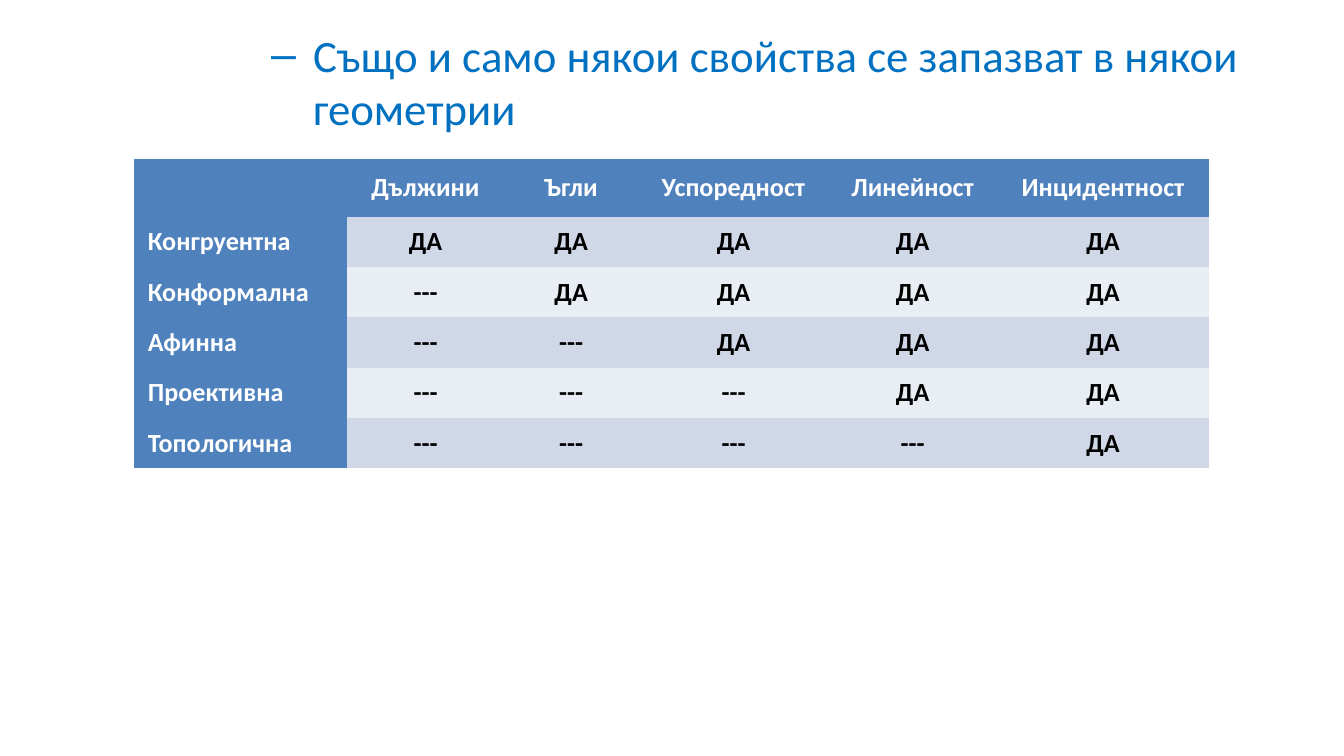
from dataclasses import dataclass

from lxml import etree
from pptx import Presentation
from pptx.dml.color import RGBColor
from pptx.enum.text import MSO_ANCHOR, MSO_AUTO_SIZE, PP_ALIGN
from pptx.oxml.ns import qn
from pptx.util import Pt

MIDDLE = MSO_ANCHOR.MIDDLE
NO_AUTOFIT = MSO_AUTO_SIZE.NONE
LEFT, CENTER = PP_ALIGN.LEFT, PP_ALIGN.CENTER
TITLE_AND_CONTENT = 1
NO_STYLE_NO_GRID = "{2D5ABB26-0587-4C30-8999-92F81FD0307C}"


@dataclass(frozen=True)
class Theme:
    font: str = "Calibri"
    statement_size: int = 24
    table_size: int = 14
    statement: str = "0070C0"
    header: str = "4F81BD"
    header_text: str = "FFFFFF"
    answer_text: str = "000000"
    bands: tuple = ("D0D8E8", "E9EDF4")


THEME = Theme()


def set_font(paragraph, size, color, bold=False):
    font = paragraph.font
    font.name = THEME.font
    font.size = Pt(size)
    font.bold = bold
    font.color.rgb = RGBColor.from_string(color)


deck = Presentation()
deck.slide_width, deck.slide_height = Pt(720), Pt(405)
page = deck.slides.add_slide(deck.slide_layouts[TITLE_AND_CONTENT])
title = page.shapes.title.element
title.getparent().remove(title)

# Statement
body = page.placeholders[1]
body.left, body.top, body.width, body.height = Pt(102), Pt(11), Pt(618), Pt(372)
frame = body.text_frame
frame.word_wrap = True
frame.auto_size = NO_AUTOFIT
statement = frame.paragraphs[0]
statement.text = "Също и само някои свойства се запазват в някои геометрии"
statement.level = 1
statement.space_before = Pt(0)
properties = statement._p.get_or_add_pPr()
properties.set("marL", str(Pt(58.5)))
properties.set("indent", str(Pt(-22.5)))
etree.SubElement(properties, qn("a:buChar")).set("char", "–")
set_font(statement, THEME.statement_size, THEME.statement)

# Each geometry preserves one property fewer than the one above it
features = ["Дължини", "Ъгли", "Успоредност", "Линейност", "Инцидентност"]
geometries = ["Конгруентна", "Конформална", "Афинна", "Проективна", "Топологична"]
rows = [[""] + features]
for lost, geometry in enumerate(geometries):
    rows.append([geometry] + ["---"] * lost + ["ДА"] * (len(features) - lost))

column_widths = [114, 84, 72, 102, 90, 114]
row_heights = [31] + [27] * len(geometries)
table_frame = page.shapes.add_table(
    len(rows), len(column_widths), Pt(72), Pt(85),
    Pt(sum(column_widths)), Pt(sum(row_heights)))
table = table_frame.table
table.first_col = True
table._tbl.tblPr.find(qn("a:tableStyleId")).text = NO_STYLE_NO_GRID
for column, width in zip(table.columns, column_widths):
    column.width = Pt(width)
for row, height in zip(table.rows, row_heights):
    row.height = Pt(height)

for r, texts in enumerate(rows):
    for c, text in enumerate(texts):
        is_header = r == 0 or c == 0
        cell = table.cell(r, c)
        cell.fill.solid()
        cell.fill.fore_color.rgb = RGBColor.from_string(
            THEME.header if is_header else THEME.bands[(r - 1) % 2])
        cell.vertical_anchor = MIDDLE
        cell.margin_left = cell.margin_right = Pt(7.2 if c == 0 else 3.6)
        cell.margin_top = cell.margin_bottom = Pt(3)
        para = cell.text_frame.paragraphs[0]
        para.text = text
        para.alignment = LEFT if c == 0 else CENTER
        set_font(para, THEME.table_size,
                 THEME.header_text if is_header else THEME.answer_text, bold=True)

deck.save("out.pptx")
